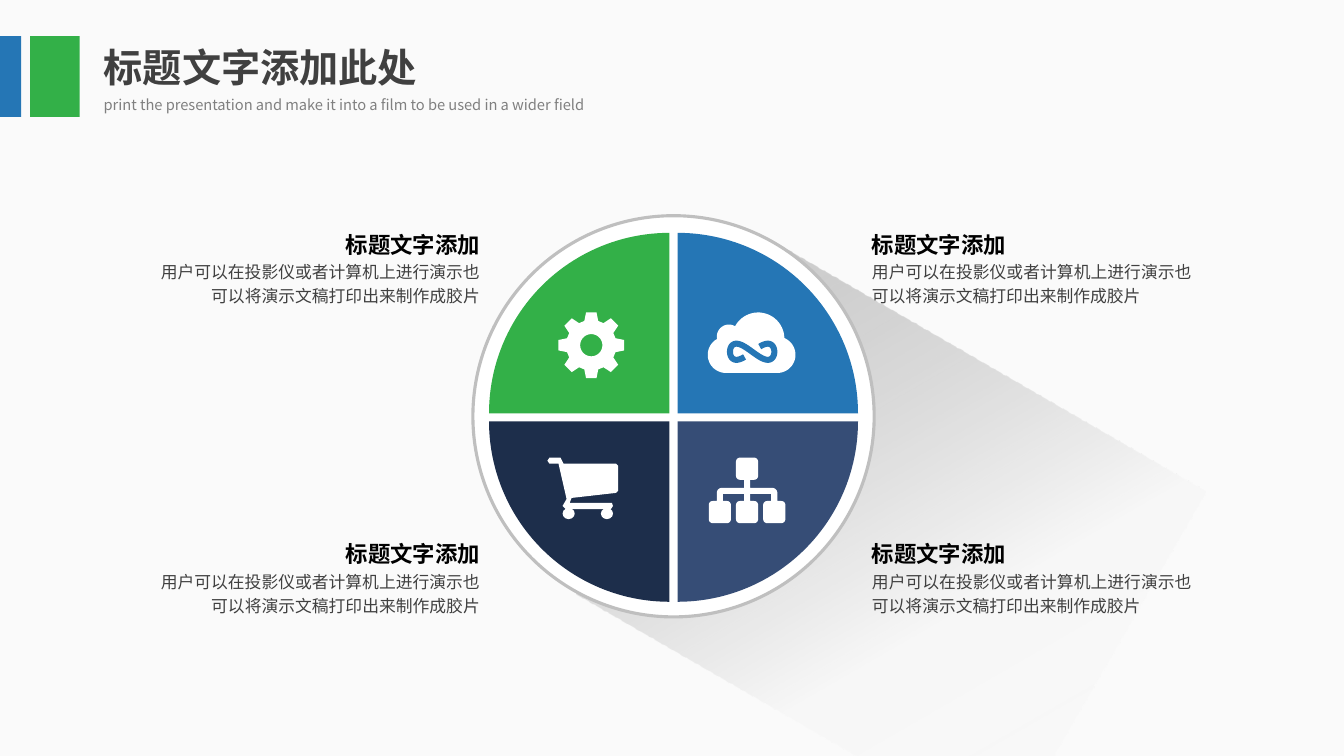
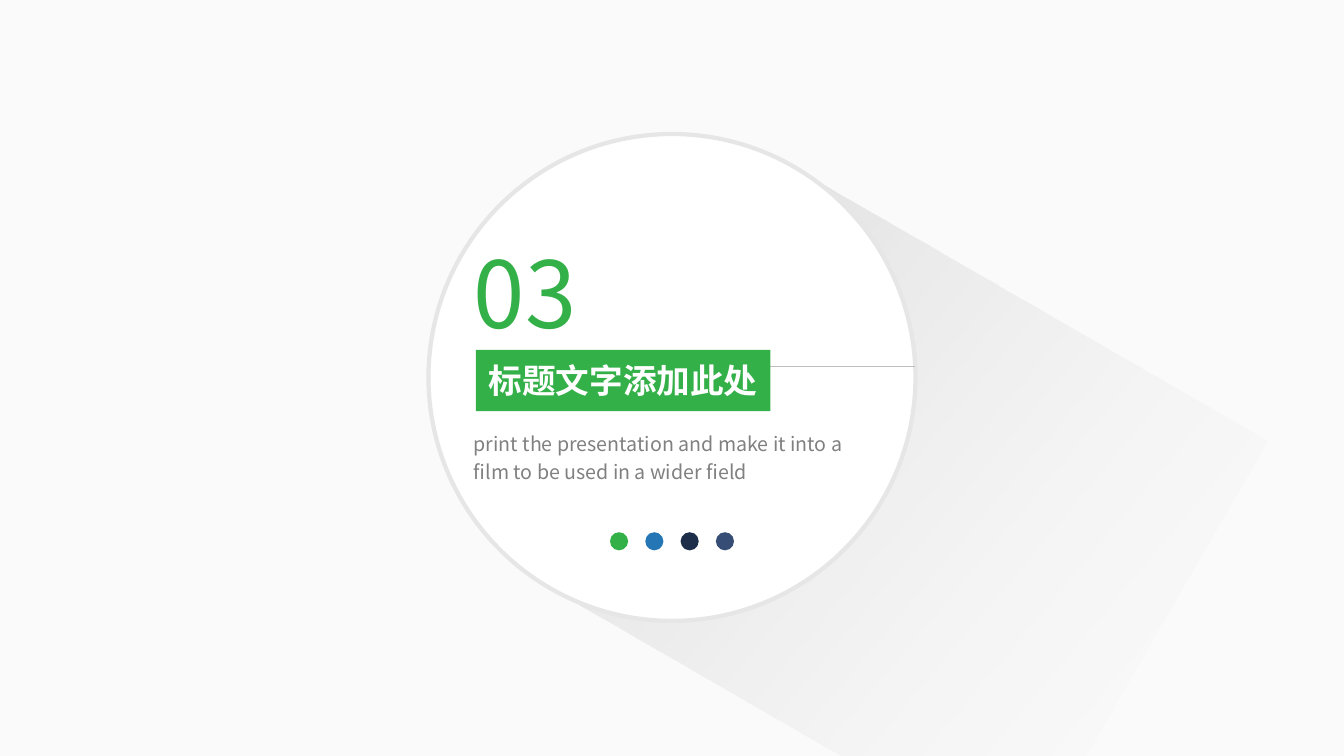
from math import cos, radians, sin

from lxml.etree import SubElement
from pptx import Presentation
from pptx.dml.color import RGBColor
from pptx.enum.shapes import MSO_CONNECTOR as Conn, MSO_SHAPE as Kind
from pptx.enum.text import MSO_ANCHOR as Anchor, MSO_AUTO_SIZE as Fit, PP_ALIGN as Align
from pptx.oxml import parse_xml
from pptx.oxml.ns import nsdecls, qn
from pptx.util import Inches, Pt

FONT = "Noto Sans CJK SC"
GREEN = RGBColor(0x33, 0xB0, 0x48)
BLUE = RGBColor(0x25, 0x76, 0xB5)
NAVY = RGBColor(0x1D, 0x2E, 0x4B)
SLATE = RGBColor(0x36, 0x4D, 0x76)
WHITE = RGBColor(0xFF, 0xFF, 0xFF)
BLACK = RGBColor(0, 0, 0)
PAPER = RGBColor(0xFA, 0xFA, 0xFA)
DARK = RGBColor(0x40, 0x40, 0x40)
GRAY = RGBColor(0x80, 0x80, 0x80)
SILVER = RGBColor(0xBF, 0xBF, 0xBF)
PALE = RGBColor(0xE7, 0xE6, 0xE6)

TITLE = "标题文字添加此处"
SUB = "print the presentation and make it into a film to be used in a wider field"
HEAD = "标题文字添加"
BODY = "用户可以在投影仪或者计算机上进行演示也可以将演示文稿打印出来制作成胶片"


def paint(shape, fill, line=None, width=0):
    """Set the fill and outline of a shape; None means neither."""
    shape.shadow.inherit = False
    if fill is None:
        shape.fill.background()
    else:
        shape.fill.solid()
        shape.fill.fore_color.rgb = fill
    if line is None:
        shape.line.fill.background()
    else:
        shape.line.color.rgb = line
        shape.line.width = Pt(width)
    return shape


def form(slide, kind, box, fill, line=None, width=0):
    """Add a preset shape in a box given in inches."""
    shape = slide.shapes.add_shape(kind, *map(Inches, box))
    return paint(shape, fill, line, width)


def outline(slide, x, y, rings, fill, line=None, width=0, close=True):
    """Add a freeform from rings of points relative to x, y."""
    rings = [[(Inches(x + a), Inches(y + b)) for a, b in ring] for ring in rings]
    pen = slide.shapes.build_freeform(*rings[0][0])
    pen.add_line_segments(rings[0][1:], close)
    for ring in rings[1:]:
        pen.move_to(*ring[0])
        pen.add_line_segments(ring[1:], close)
    return paint(pen.convert_to_shape(), fill, line, width)


def rule(slide, x1, y1, x2, y2, color, width):
    """Add a plain straight line."""
    line = slide.shapes.add_connector(Conn.STRAIGHT, *map(Inches, (x1, y1, x2, y2)))
    line.line.color.rgb = color
    line.line.width = Pt(width)
    SubElement(line.element.spPr, qn("a:effectLst"))


def write(shape, text, size, color, bold=False, align=Align.LEFT, lead=1.0):
    """Put one formatted paragraph in a shape."""
    frame = shape.text_frame
    frame.text = text
    frame.word_wrap = True
    frame.auto_size = Fit.NONE
    para = frame.paragraphs[0]
    para.alignment = align
    para.line_spacing = lead
    run = para.runs[0]
    run.font.size = Pt(size)
    run.font.bold = bold
    run.font.color.rgb = color
    run.font.name = FONT
    SubElement(run.font._element, qn("a:ea"), typeface=FONT)


def label(slide, box, *args, **style):
    """Add a text box."""
    write(slide.shapes.add_textbox(*map(Inches, box)), *args, **style)


def title(slide, box, size, color, align=Align.LEFT, anchor=Anchor.TOP):
    """Move the title placeholder to the front of the slide and format it."""
    shape = slide.shapes.title
    shape.left, shape.top, shape.width, shape.height = map(Inches, box)
    write(shape, TITLE, size, color, True, align)
    shape.text_frame.vertical_anchor = anchor
    shape.element.getparent().append(shape.element)
    return shape


def shade(slide, box, stops, angle):
    """Add a long, tilted shadow that fades out."""
    shape = form(slide, Kind.RECTANGLE, box, None)
    shape.rotation = 30
    marks = "".join(
        f'<a:gs pos="{pos * 1000}"><a:srgbClr val="{color}">'
        f'<a:alpha val="{alpha * 1000}"/></a:srgbClr></a:gs>'
        for pos, color, alpha in stops
    )
    grad = parse_xml(
        f'<a:gradFill {nsdecls("a")} rotWithShape="1"><a:gsLst>{marks}</a:gsLst>'
        f'<a:lin ang="{angle * 60000}" scaled="0"/></a:gradFill>'
    )
    props = shape.element.spPr
    props.replace(props.find(qn("a:noFill")), grad)


def arc(x, y, r, start, end, step=6):
    """Return points along a circle, clockwise in degrees."""
    count = max(2, round((end - start) / step))
    turns = [radians(start + (end - start) * i / count) for i in range(count + 1)]
    return [(x + r * cos(t), y + r * sin(t)) for t in turns]


def tile(x, y, side, r):
    """Return the points of a square with round corners."""
    low, high = r, side - r
    spots = ((high, high), (low, high), (low, low), (high, low))
    return [spot for i, (dx, dy) in enumerate(spots)
            for spot in arc(x + dx, y + dy, r, i * 90, i * 90 + 90, 15)]


def gear(slide, x, y):
    """Draw a gear with eight teeth."""
    mid = 0.325
    rim = []
    for turn in range(0, 360, 45):
        for r, off in ((0.25, -16), (0.33, -9), (0.33, 9), (0.25, 16)):
            t = radians(turn + off)
            rim.append((mid + r * cos(t), mid + r * sin(t)))
    outline(slide, x, y, [rim, arc(mid, mid, 0.11, 0, 360)], WHITE)


def cloud(slide, x, y):
    """Draw a cloud holding an infinity loop."""
    edge = (arc(0.18, 0.42, 0.18, 90, 239) + arc(0.21, 0.24, 0.12, 166, 305)
            + arc(0.5, 0.26, 0.26, 207, 365) + arc(0.69, 0.42, 0.18, 294, 450))
    outline(slide, x, y, [edge], WHITE)
    turns = [radians(t) for t in range(-70, 251, 4)]
    loop = [(0.44 + 0.22 * cos(t), 0.39 + 0.08 * sin(2 * t)) for t in turns]
    outline(slide, x, y, [loop], None, BLUE, 4.3, close=False)


def cart(slide, x, y):
    """Draw a shopping cart."""
    body = [(0.02, 0), (0.13, 0), (0.16, 0.06), (0.68, 0.06), (0.7, 0.08),
            (0.7, 0.33), (0.68, 0.35), (0.24, 0.4), (0.22, 0.45), (0.64, 0.45),
            (0.65, 0.48), (0.63, 0.51), (0.18, 0.51), (0.15, 0.48), (0.19, 0.41),
            (0.11, 0.06), (0.02, 0.06), (0, 0.03)]
    outline(slide, x, y, [body], WHITE)
    for dx in (0.15, 0.53):
        form(slide, Kind.OVAL, (x + dx, y + 0.5, 0.12, 0.11), WHITE)


def tree(slide, x, y):
    """Draw an organisation tree."""
    spots = [(0.27, 0)] + [(i * 0.27, 0.43) for i in range(3)]
    bars = (arc(0.13, 0.35, 0.05, 180, 270) + [(0.35, 0.3), (0.35, 0.22), (0.41, 0.22), (0.41, 0.3)]
            + arc(0.63, 0.35, 0.05, 270, 360)
            + [(0.68, 0.43), (0.62, 0.43), (0.62, 0.36), (0.41, 0.36), (0.41, 0.43),
               (0.35, 0.43), (0.35, 0.36), (0.14, 0.36), (0.14, 0.43), (0.08, 0.43)])
    rings = [tile(dx, dy, 0.22, 0.04) for dx, dy in spots]
    outline(slide, x, y, rings + [bars], WHITE)


def header(slide):
    """Place the title, its subtitle and the colour bands."""
    title(slide, (0.93, 0.38, 3.6, 0.57), 28, DARK)
    label(slide, (0.93, 0.87, 5.34, 0.3), SUB, 10.5, GRAY, lead=1.2)
    form(slide, Kind.RECTANGLE, (0.3, 0.36, 0.49, 0.8), GREEN)
    form(slide, Kind.RECTANGLE, (0, 0.36, 0.21, 0.8), BLUE)


def wheel(slide, x, y):
    """Draw the ring with four wedges and their icons."""
    form(slide, Kind.OVAL, (x, y, 3.98, 3.98), WHITE, SILVER, 2.25)
    parts = ((0, 0, 0, GREEN, gear, 0.69, 0.79), (1, 0, 90, BLUE, cloud, 0.3, 0.79),
             (0, 1, 270, NAVY, cart, 0.58, 0.36), (1, 1, 180, SLATE, tree, 0.31, 0.36))
    for col, row, turn, color, icon, dx, dy in parts:
        left, top = x + 0.16 + col * 1.87, y + 0.17 + row * 1.87
        wedge = form(slide, Kind.PIE_WEDGE, (left, top, 1.79, 1.79), color)
        wedge.rotation = turn
        icon(slide, left + dx, top + dy)


def note(slide, x, y, align):
    """Place a heading over its text in a box 3.37 wide."""
    shift = 1.13 if align == Align.RIGHT else 0
    label(slide, (x, y + 0.32, 3.37, 0.59), BODY, 12, DARK, align=align, lead=1.2)
    label(slide, (x + shift, y, 2.24, 0.4), HEAD, 16, BLACK, True, align, 1.2)


def quarters(slide):
    """Build the slide with the four-part wheel."""
    stops = ((0, "000000", 20), (61, "F2F2F2", 34), (100, "F2F2F2", 0))
    shade(slide, (6.39, 3.38, 4.89, 4), stops, 30)
    wheel(slide, 4.69, 2.14)
    header(slide)
    for x, align in ((8.55, Align.JUSTIFY), (1.49, Align.RIGHT)):
        for y in (2.19, 5.26):
            note(slide, x, y, align)


def badge(slide, x, y):
    """Draw the section disc with its number, title and dots."""
    form(slide, Kind.OVAL, (x, y, 4.83, 4.83), WHITE, PALE, 3)
    rule(slide, x + 3.39, y + 2.3, x + 4.83, y + 2.3, SILVER, 0.5)
    label(slide, (x + 0.35, y + 2.86, 4.08, 0.67), SUB, 14, GRAY, lead=1.2)
    box = (x + 0.47, y + 2.14, 2.92, 0.61)
    paint(title(slide, box, 24, WHITE, Align.CENTER, Anchor.MIDDLE), GREEN)
    label(slide, (x + 0.35, y + 0.96, 1.45, 1.21), "03", 66, GREEN)
    for i, color in enumerate((GREEN, BLUE, NAVY, SLATE)):
        form(slide, Kind.OVAL, (x + 1.8 + i * 0.35, y + 3.95, 0.18, 0.18), color)


def section(slide):
    """Build the section opener."""
    stops = ((0, "000000", 15), (100, "F2F2F2", 0))
    shade(slide, (6.12, 2.65, 5.62, 4.82), stops, 10)
    badge(slide, 4.25, 1.33)


def main():
    """Build and save the slides."""
    deck = Presentation()
    deck.slide_width, deck.slide_height = Inches(13.33), Inches(7.5)
    back = deck.slide_master.background.fill
    back.solid()
    back.fore_color.rgb = PAPER
    for build in (quarters, section):
        build(deck.slides.add_slide(deck.slide_layouts[5]))
    deck.save("out.pptx")


if __name__ == "__main__":
    main()
